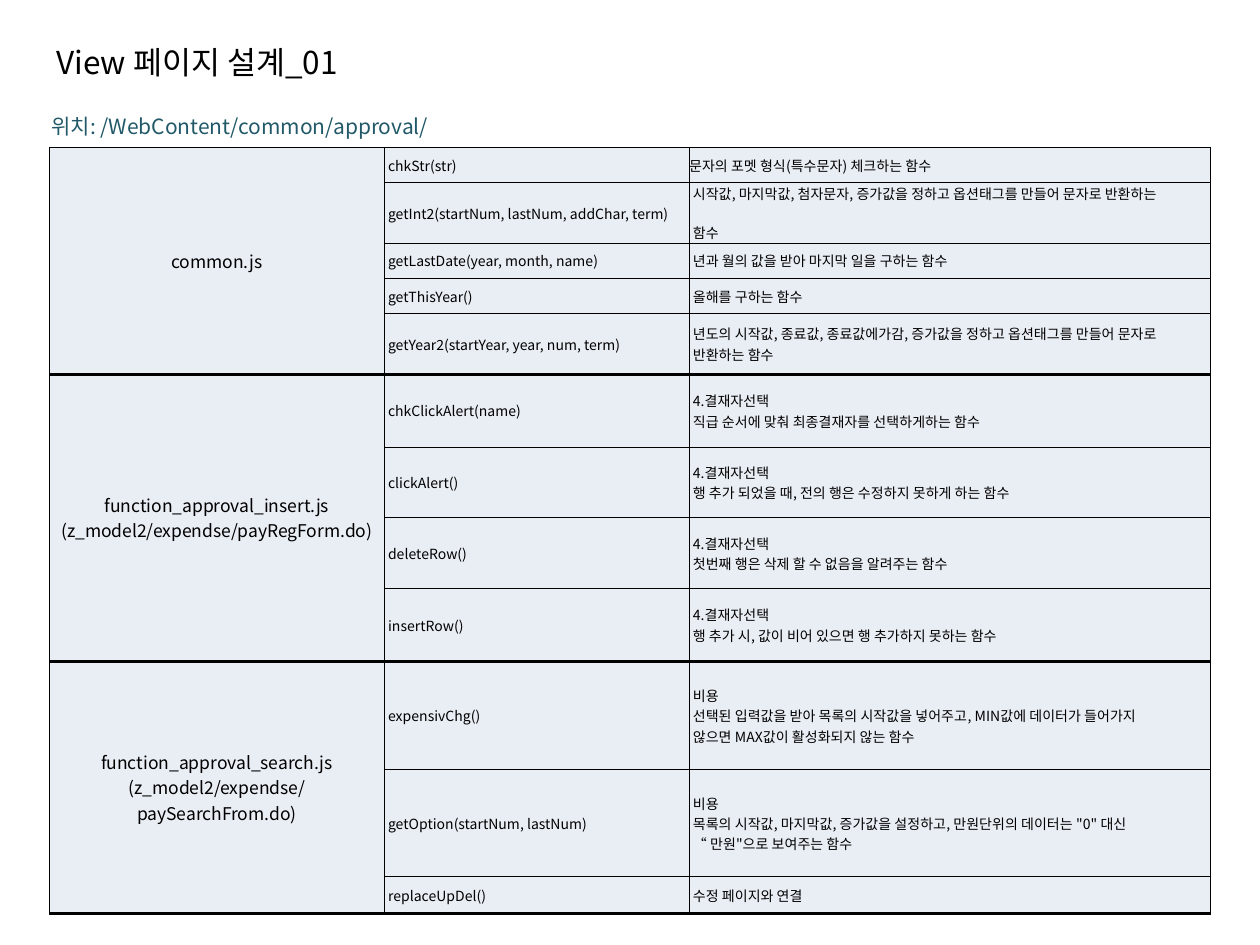
from dataclasses import dataclass

from lxml import etree
from pptx import Presentation
from pptx.dml.color import RGBColor
from pptx.enum.text import MSO_ANCHOR, PP_ALIGN
from pptx.oxml.ns import qn
from pptx.util import Inches, Pt

LEFT, CENTER = PP_ALIGN.LEFT, PP_ALIGN.CENTER
MIDDLE = MSO_ANCHOR.MIDDLE


@dataclass(frozen=True)
class Theme:
    font: str = "Noto Sans CJK KR"
    ink: str = "000000"
    location: str = "215968"
    cell: str = "E9EDF4"
    title_size: float = 18
    location_size: float = 12
    file_size: float = 10
    body_size: float = 8
    thin: float = 0.5
    thick: float = 2
    inset: float = 0.03
    loose_gap: float = 11


THEME = Theme()
COLUMNS = (2.66, 2.42, 4.14)
FILES = [
    ("common.js", [
        (0.28, "chkStr(str)", "문자의 포멧 형식(특수문자) 체크하는 함수"),
        (0.48, "getInt2(startNum, lastNum, addChar, term)",
         "시작값, 마지막값, 첨자문자, 증가값을 정하고 옵션태그를 만들어 문자로 반환하는\n함수"),
        (0.28, "getLastDate(year, month, name)", "년과 월의 값을 받아 마지막 일을 구하는 함수"),
        (0.28, "getThisYear()", "올해를 구하는 함수"),
        (0.48, "getYear2(startYear, year, num, term)",
         "년도의 시작값, 종료값, 종료값에가감, 증가값을 정하고 옵션태그를 만들어 문자로\n반환하는 함수"),
    ]),
    ("function_approval_insert.js\v(z_model2/expendse/payRegForm.do)", [
        (0.58, "chkClickAlert(name)", "4.결재자선택\v직급 순서에 맞춰 최종결재자를 선택하게하는 함수"),
        (0.56, "clickAlert()", "4.결재자선택\v행 추가 되었을 때, 전의 행은 수정하지 못하게 하는 함수"),
        (0.56, "deleteRow()", "4.결재자선택\v첫번째 행은 삭제 할 수 없음을 알려주는 함수"),
        (0.58, "insertRow()", "4.결재자선택\v행 추가 시, 값이 비어 있으면 행 추가하지 못하는 함수"),
    ]),
    ("function_approval_search.js\v(z_model2/expendse/paySearchFrom.do)", [
        (0.86, "expensivChg()",
         "비용\v선택된 입력값을 받아 목록의 시작값을 넣어주고, MIN값에 데이터가 들어가지\v"
         "않으면 MAX값이 활성화되지 않는 함수"),
        (0.85, "getOption(startNum, lastNum)",
         "비용\v목록의 시작값, 마지막값, 증가값을 설정하고, 만원단위의 데이터는 \"0\" 대신\v"
         "“ 만원\"으로 보여주는 함수"),
        (0.29, "replaceUpDel()", "수정 페이지와 연결"),
    ]),
]
FLUSH_FUNCTION = "chkStr(str)"
LOOSE_FUNCTION = "getInt2(startNum, lastNum, addChar, term)"


def write_text(frame, text, size, color, align=LEFT):
    frame.text = text
    for para in frame.paragraphs:
        para.alignment = align
        para.font.size = Pt(size)
        para.font.name = THEME.font
        para.font.color.rgb = RGBColor.from_string(color)
        properties = para._p.pPr.find(qn("a:defRPr"))
        etree.SubElement(properties, qn("a:ea"), typeface=THEME.font)


def add_label(page, box, text, size, color, wrap):
    label = page.shapes.add_textbox(*map(Inches, box))
    label.text_frame.word_wrap = wrap
    write_text(label.text_frame, text, size, color)


def set_borders(cell, top, bottom):
    properties = cell._tc.get_or_add_tcPr()
    widths = {"a:lnL": THEME.thin, "a:lnR": THEME.thin, "a:lnT": top, "a:lnB": bottom}
    for tag, width in widths.items():
        line = etree.SubElement(properties, qn(tag), w=str(Pt(width)))
        fill = etree.SubElement(line, qn("a:solidFill"))
        etree.SubElement(fill, qn("a:srgbClr"), val=THEME.ink)


def fill_cell(cell, text, size, top, bottom, align=LEFT, inset=0):
    set_borders(cell, top, bottom)
    cell.fill.solid()
    cell.fill.fore_color.rgb = RGBColor.from_string(THEME.cell)
    cell.margin_left = Inches(inset)
    cell.margin_right = cell.margin_top = cell.margin_bottom = 0
    cell.vertical_anchor = MIDDLE
    write_text(cell.text_frame, text, size, THEME.ink, align)


def add_function_table(page, box):
    row_total = sum(len(functions) for _, functions in FILES)
    frame = page.shapes.add_table(row_total, len(COLUMNS), *map(Inches, box))
    table = frame.table
    table.first_row = table.horz_banding = False
    for column, width in zip(table.columns, COLUMNS):
        column.width = Inches(width)

    start = 0
    for file_name, functions in FILES:
        last = start + len(functions) - 1
        group_top = THEME.thick if start else THEME.thin
        for row, (height, function, purpose) in enumerate(functions, start):
            table.rows[row].height = Inches(height)
            top = group_top if row == start else THEME.thin
            bottom = THEME.thick if row == last else THEME.thin
            purpose_inset = 0 if function == FLUSH_FUNCTION else THEME.inset
            if row == start:
                fill_cell(table.cell(row, 0), file_name, THEME.file_size,
                          group_top, THEME.thick, CENTER)
            else:
                fill_cell(table.cell(row, 0), "", THEME.body_size, top, bottom)
            fill_cell(table.cell(row, 1), function, THEME.body_size, top, bottom,
                      inset=THEME.inset)
            fill_cell(table.cell(row, 2), purpose, THEME.body_size, top, bottom,
                      inset=purpose_inset)
            if function == LOOSE_FUNCTION:
                para = table.cell(row, 2).text_frame.paragraphs[1]
                para.space_before = Pt(THEME.loose_gap)
        table.cell(start, 0).merge(table.cell(last, 0))
        start = last + 1


def main():
    deck = Presentation()
    deck.slide_width, deck.slide_height = Inches(10), Inches(7.5)
    page = deck.slides.add_slide(deck.slide_layouts[6])
    add_label(page, (0.31, 0.85, 3.25, 0.3), "위치: /WebContent/common/approval/",
              THEME.location_size, THEME.location, False)
    add_function_table(page, (0.39, 1.17, 9.22, 6.09))
    add_label(page, (0.35, 0.29, 3.86, 0.4), "View 페이지 설계_01",
              THEME.title_size, THEME.ink, True)
    deck.save("out.pptx")


if __name__ == "__main__":
    main()
